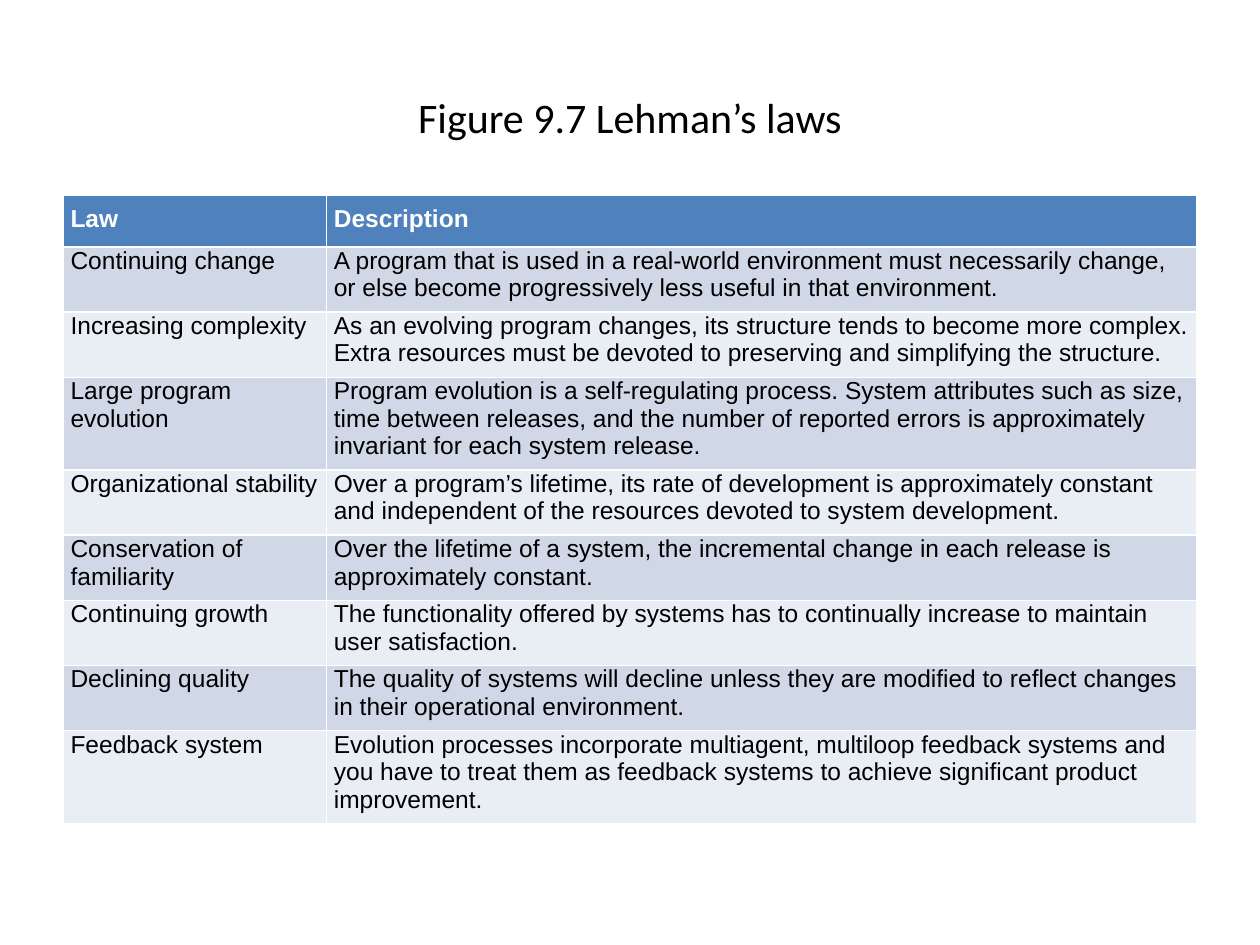
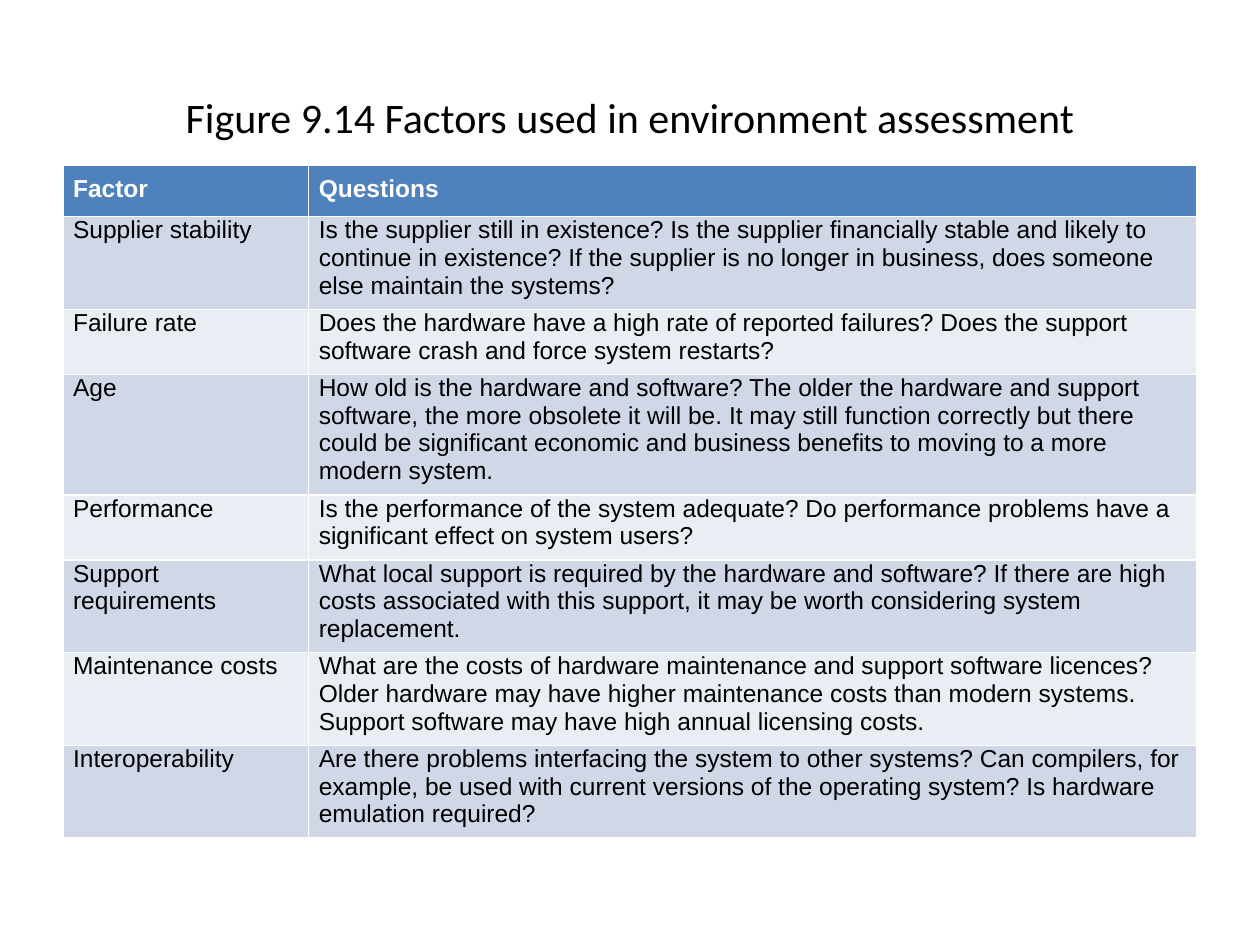
from pptx import Presentation as Deck
from pptx.dml.color import RGBColor as Rgb
from pptx.enum.text import MSO_ANCHOR as Anchor, PP_ALIGN as Align
from pptx.util import Inches, Pt

BLACK = Rgb(0x00, 0x00, 0x00)
WHITE = Rgb(0xFF, 0xFF, 0xFF)
BLUE = Rgb(0x4F, 0x81, 0xBD)
BANDS = [Rgb(0xE9, 0xED, 0xF4), Rgb(0xD0, 0xD8, 0xE8)]

LEFT = 0.5
WIDTH = 9
ROW = 0.41
RIGHT = 0.05
BASE = 0.08

LAWS = [
    ("Law", "Description"),
    ("Continuing change",
     "A program that is used in a real-world environment must necessarily change, "
     "or else become progressively less useful in that environment."),
    ("Increasing complexity",
     "As an evolving program changes, its structure tends to become more complex. "
     "Extra resources must be devoted to preserving and simplifying the structure."),
    ("Large program evolution",
     "Program evolution is a self-regulating process. System attributes such as size, "
     "time between releases, and the number of reported errors is approximately "
     "invariant for each system release."),
    ("Organizational stability",
     "Over a program’s lifetime, its rate of development is approximately constant "
     "and independent of the resources devoted to system development."),
    ("Conservation of familiarity",
     "Over the lifetime of a system, the incremental change in each release is "
     "approximately constant."),
    ("Continuing growth",
     "The functionality offered by systems has to continually increase to maintain "
     "user satisfaction."),
    ("Declining quality",
     "The quality of systems will decline unless they are modified to reflect changes "
     "in their operational environment."),
    ("Feedback system",
     "Evolution processes incorporate multiagent, multiloop feedback systems and "
     "you have to treat them as feedback systems to achieve significant product "
     "improvement."),
]

FACTORS = [
    ("Factor", "Questions"),
    ("Supplier stability",
     "Is the supplier still in existence? Is the supplier financially stable and likely to "
     "continue in existence? If the supplier is no longer in business, does someone "
     "else maintain the systems?"),
    ("Failure rate",
     "Does the hardware have a high rate of reported failures? Does the support "
     "software crash and force system restarts?"),
    ("Age",
     "How old is the hardware and software? The older the hardware and support "
     "software, the more obsolete it will be. It may still function correctly but there "
     "could be significant economic and business benefits to moving to a more "
     "modern system."),
    ("Performance",
     "Is the performance of the system adequate? Do performance problems have a "
     "significant effect on system users?"),
    ("Support requirements",
     "What local support is required by the hardware and software? If there are high "
     "costs associated with this support, it may be worth considering system "
     "replacement."),
    ("Maintenance costs",
     "What are the costs of hardware maintenance and support software licences? "
     "Older hardware may have higher maintenance costs than modern systems. "
     "Support software may have high annual licensing costs."),
    ("Interoperability",
     "Are there problems interfacing the system to other systems? Can compilers, for "
     "example, be used with current versions of the operating system? Is hardware "
     "emulation required?"),
]


def add_run(para, text, face, size, color, bold=False):
    run = para.add_run()
    run.text = text
    font = run.font
    font.name, font.size, font.bold = face, Pt(size), bold
    font.color.rgb = color


def add_title(slide, text):
    title = slide.shapes.title
    title.left, title.top = Inches(LEFT), Inches(0.3)
    title.width, title.height = Inches(WIDTH), Inches(1.25)
    frame = title.text_frame
    frame.vertical_anchor = Anchor.MIDDLE
    para = frame.paragraphs[0]
    para.alignment = Align.CENTER
    add_run(para, text, "Calibri", 24, BLACK)


def fill_cell(cell, text, row, pad):
    head = row == 0
    cell.fill.solid()
    cell.fill.fore_color.rgb = BLUE if head else BANDS[row % 2]
    cell.margin_left, cell.margin_right = Inches(pad), Inches(RIGHT)
    cell.margin_top = Inches(BASE if head else 0)
    cell.margin_bottom = Inches(BASE)
    para = cell.text_frame.paragraphs[0]
    para.space_after = Pt(6)
    add_run(para, text, "Arial", 14, WHITE if head else BLACK, head)


def add_grid(slide, rows, top, first, pad):
    frame = slide.shapes.add_table(
        len(rows), 2, Inches(LEFT), Inches(top),
        Inches(WIDTH), Inches(ROW * len(rows)))
    table = frame.table
    table.columns[0].width = Inches(first)
    table.columns[1].width = Inches(WIDTH - first)
    for row, texts in enumerate(rows):
        for col, text in enumerate(texts):
            fill_cell(table.cell(row, col), text, row, pad)


def add_figure(deck, title, rows, top, first, pad):
    slide = deck.slides.add_slide(deck.slide_layouts[5])
    add_title(slide, title)
    add_grid(slide, rows, top, first, pad)


def main():
    deck = Deck()
    deck.slide_width, deck.slide_height = Inches(10), Inches(7.5)
    add_figure(deck, "Figure 9.7 Lehman’s laws", LAWS, 1.55, 2.09, 0.06)
    add_figure(deck, "Figure 9.14 Factors used in environment assessment",
               FACTORS, 1.31, 1.95, 0.08)
    deck.save("out.pptx")


if __name__ == "__main__":
    main()
